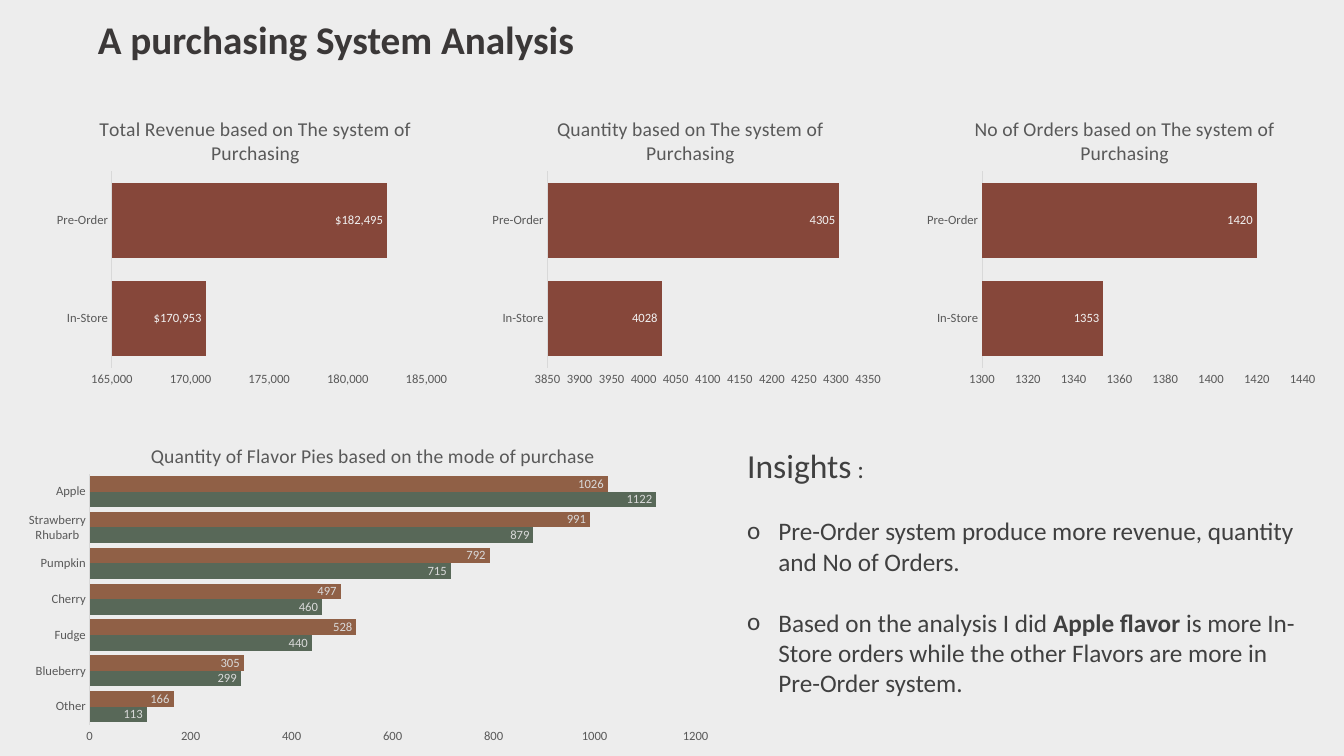
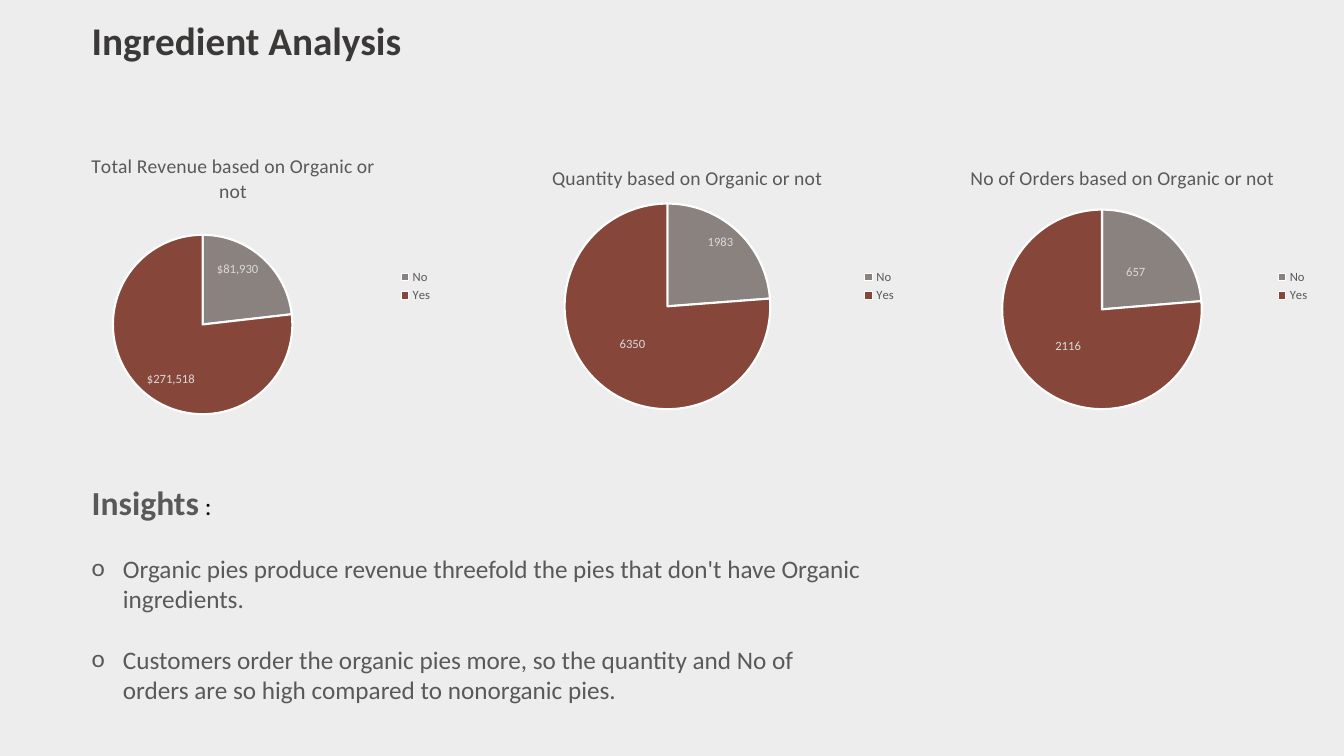
import pptx
import pptx.chart.data
import pptx.dml.color
import pptx.enum.chart
import pptx.enum.text
import pptx.util
import pptx.oxml
from pptx.oxml.ns import nsdecls, qn

Inches, Pt = pptx.util.Inches, pptx.util.Pt
Kind = pptx.enum.chart.XL_CHART_TYPE
Spot = pptx.enum.chart.XL_LABEL_POSITION

FONT = "Calibri"
PAPER, INK, GREY, BODY, BLACK = "EDEDED", "3B3838", "595959", "404040", "000000"
RUST, STONE, GREEN, BROWN = "86473A", "8A827E", "586858", "906046"
AXIS, PALE, PALER, WHITE = "D9D9D9", "D9D9D9", "F2F2F2", "FFFFFF"
MONEY, PLAIN = '"$"#,##0', "General"

# Boxes are left, top, width, height on the slide; spots are left, top.
SYSTEMS = ["In-Store", "Pre-Order"]
BAR_LEFT, BAR_STEP = 0.49, 4.315
BAR_BOX = (0.95, 4.02, 2.94)
SYSTEM_BARS = [
    # title, values, label format, axis format, axis (min, max, step), plot left, plot width
    ("Total Revenue based on The system of Purchasing", [170953, 182495],
     MONEY, "#,##0", (165000, 185000, 5000), 1.11, 3.12),
    ("Quantity based on The system of Purchasing", [4028, 4305],
     PLAIN, PLAIN, (3850, 4350, 50), 5.43, 3.18),
    ("No of Orders based on The system of Purchasing", [1353, 1420],
     PLAIN, PLAIN, (1300, 1440, 20), 9.74, 3.18),
]
SYSTEM_TITLE_LEFTS = [0.95, 5.49, 9.63]

FLAVORS = ["Other", "Blueberry", "Fudge", "Cherry", "Pumpkin", "Strawberry Rhubarb", "Apple"]
FLAVOR_SALES = [
    ("In-Store", [113, 299, 440, 460, 715, 879, 1122], GREEN),
    ("Pre-Order", [166, 305, 528, 497, 792, 991, 1026], BROWN),
]

ORGANIC = ["No", "Yes"]
ORGANIC_PIES = [
    # title, values, format, chart left and width, title spot, pie centre and radius, label spots
    ("Total Revenue based on Organic or not", [81930, 271518], MONEY, (0.4, 3.99),
     (0.87, 1.48), (2.01, 3.22, 0.89), (Spot.INSIDE_END, Spot.INSIDE_END)),
    ("Quantity based on Organic or not", [1983, 6350], PLAIN, (4.56, 4.43),
     (5.44, 1.59), (6.62, 3.04, 1.02), (Spot.INSIDE_END, Spot.CENTER)),
    ("No of Orders based on Organic or not", [657, 2116], PLAIN, (9.16, 3.93),
     (9.59, 1.59), (10.93, 3.07, 0.99), (Spot.CENTER, Spot.CENTER)),
]

PURCHASING = {
    "title": "A purchasing System Analysis",
    "title_box": (0.87, 0.1, 5.43, 0.57),
    "insights_box": (7.31, 4.36, 5.82, 2.93),
    "color": BODY,
    "heading": [("Insights", {"size": Pt(24)}), (" :", {})],
    "insights": [
        [("Pre-Order system produce more revenue, quantity and No of Orders.", {})],
        [("Based on the analysis I did ", {}), ("Apple flavor ", {"bold": True}),
         ("is more In-Store orders while the other Flavors are more in Pre-Order system.", {})],
    ],
}
INGREDIENT = {
    "title": "Ingredient Analysis",
    "title_box": (0.81, 0.11, 5.43, 0.57),
    "insights_box": (0.81, 4.73, 7.83, 2.63),
    "color": GREY,
    "heading": [("Insights", {"size": Pt(24), "bold": True}), (" :", {"color": BLACK})],
    "insights": [
        [("Organic pies produce revenue threefold the pies that don't have Organic ingredients.", {})],
        [("Customers order the organic pies more, so the quantity and No of orders "
          "are so high compared to nonorganic pies.", {})],
    ],
}


def rgb(code):
    """Turn a hex string into a colour."""
    return pptx.dml.color.RGBColor.from_string(code)


def assign(target, **values):
    """Set each given attribute on the target."""
    for key, value in values.items():
        setattr(target, key, value)


def style_font(font, size, color, **extra):
    """Give a font the deck's typeface, a size, a colour and any extras."""
    assign(font, **{"name": FONT, "size": size, "bold": False, **extra})
    font.color.rgb = rgb(color)


def paint(part, color):
    """Fill a chart part with one colour."""
    part.format.fill.solid()
    part.format.fill.fore_color.rgb = rgb(color)


def place(shape, box):
    """Move a placeholder to a box in inches."""
    assign(shape, **dict(zip(("left", "top", "width", "height"), map(Inches, box))))


def write_runs(paragraph, runs, color, size=Pt(18)):
    """Add runs whose format differs from the paragraph only where stated."""
    for text, changes in runs:
        run = paragraph.add_run()
        run.text = text
        style_font(run.font, **{"size": size, "color": color, **changes})


def set_bullet(paragraph, mark=None):
    """Set a hanging bullet, or none at all."""
    props = paragraph._p.get_or_add_pPr()
    indent = Inches(0.31) if mark else 0
    props.set("marL", str(int(indent)))
    props.set("indent", str(int(-indent)))
    if mark:
        props.append(pptx.oxml.parse_xml(f'<a:buFont {nsdecls("a")} typeface="{FONT}"/>'))
        props.append(pptx.oxml.parse_xml(f'<a:buChar {nsdecls("a")} char="{mark}"/>'))
    else:
        props.append(pptx.oxml.parse_xml(f'<a:buNone {nsdecls("a")}/>'))


def add_page(deck, content):
    """Add a slide with its title and list of insights."""
    slide = deck.slides.add_slide(deck.slide_layouts[1])
    title, body = slide.placeholders[0], slide.placeholders[1]
    place(title, content["title_box"])
    place(body, content["insights_box"])
    anchors = pptx.enum.text.MSO_ANCHOR
    for shape, anchor in ((title, anchors.MIDDLE), (body, anchors.TOP)):
        assign(shape.text_frame, word_wrap=True, vertical_anchor=anchor,
               auto_size=pptx.enum.text.MSO_AUTO_SIZE.NONE)
    heading = title.text_frame.paragraphs[0]
    heading.alignment = pptx.enum.text.PP_ALIGN.LEFT
    write_runs(heading, [(content["title"], {"bold": True})], INK, Pt(28))

    lines = [content["heading"]] + content["insights"]
    for index, runs in enumerate(lines):
        paragraph = body.text_frame.paragraphs[0] if index == 0 else body.text_frame.add_paragraph()
        assign(paragraph, space_before=Pt(22 if index else 0), space_after=Pt(0))
        set_bullet(paragraph, "o" if index else None)
        write_runs(paragraph, runs, content["color"])
    return slide


def set_layout(parent, chart_box, box):
    """Fix a title (left, top) or a plot (full box) inside its chart."""
    left, top, width, height = chart_box
    shares = [("x", (box[0] - left) / width), ("y", (box[1] - top) / height)]
    target = ""
    if len(box) == 4:
        target = '<c:layoutTarget val="inner"/>'
        shares += [("w", box[2] / width), ("h", box[3] / height)]
    modes = "".join(f'<c:{axis}Mode val="edge"/>' for axis in "xy")
    sizes = "".join(f'<c:{key} val="{share:.4f}"/>' for key, share in shares)
    layout = pptx.oxml.parse_xml(
        f'<c:layout {nsdecls("c")}><c:manualLayout>{target}{modes}{sizes}</c:manualLayout></c:layout>')
    previous = parent.find(qn("c:layout"))
    if previous is not None:
        parent.remove(previous)
    parent.insert(1 if parent.find(qn("c:tx")) is not None else 0, layout)


def add_titled_chart(slide, kind, box, title, title_spot, plot_box, categories, series, fmt=PLAIN):
    """Add a chart with its title and plot fixed in place."""
    data = pptx.chart.data.CategoryChartData(number_format=fmt)
    data.categories = categories
    for name, values in series:
        data.add_series(name, values)
    chart = slide.shapes.add_chart(kind, *map(Inches, box), data).chart
    style_font(chart.font, Pt(10), BLACK)
    chart.has_legend = False
    chart.has_title = True
    write_runs(chart.chart_title.text_frame.paragraphs[0], [(title, {})], GREY, Pt(14))
    set_layout(chart.element.find(".//" + qn("c:title")), box, title_spot)
    set_layout(chart.element.find(".//" + qn("c:plotArea")), box, plot_box)
    return chart


def style_bars(chart, colors, label_color, label_format, axis_format, scale):
    """Format the bars, their labels and both axes."""
    plot = chart.plots[0]
    assign(plot, gap_width=30, overlap=0, vary_by_categories=False)
    for series, color in zip(plot.series, colors):
        paint(series, color)
        labels = series.data_labels
        assign(labels, show_value=True, position=Spot.INSIDE_END,
               number_format=label_format, number_format_is_linked=False)
        style_font(labels.font, Pt(9), label_color)
    low, high, step = scale
    assign(chart.value_axis, minimum_scale=low, maximum_scale=high, major_unit=step)
    assign(chart.value_axis.tick_labels, number_format=axis_format, number_format_is_linked=False)
    no_tick = pptx.enum.chart.XL_TICK_MARK.NONE
    for axis in (chart.category_axis, chart.value_axis):
        assign(axis, has_major_gridlines=False, major_tick_mark=no_tick, minor_tick_mark=no_tick)
        style_font(axis.tick_labels.font, Pt(9), GREY)
    chart.value_axis.format.line.fill.background()
    chart.category_axis.format.line.color.rgb = rgb(AXIS)
    chart.category_axis.format.line.width = Pt(0.75)


def style_pie(chart, label_spots, fmt):
    """Format the slices, their labels and the legend."""
    chart.has_legend = True
    assign(chart.legend, position=pptx.enum.chart.XL_LEGEND_POSITION.RIGHT, include_in_layout=False)
    style_font(chart.legend.font, Pt(9), GREY)
    series = chart.plots[0].series[0]
    assign(series.data_labels, show_value=True, show_percentage=False,
           number_format=fmt, number_format_is_linked=False)
    style_font(series.data_labels.font, Pt(9), PALE)
    for index, (color, spot) in enumerate(zip((STONE, RUST), label_spots)):
        point = series.points[index]
        paint(point, color)
        point.format.line.color.rgb = rgb(WHITE)
        point.format.line.width = Pt(1.5)
        style_font(point.data_label.font, Pt(9), PALE)
        point.data_label.position = spot


def build_purchasing(deck):
    """Build the purchasing slide: three system charts and one of flavors."""
    slide = add_page(deck, PURCHASING)
    for index, (title, values, fmt, axis_fmt, scale, left, width) in enumerate(SYSTEM_BARS):
        box = (BAR_LEFT + index * BAR_STEP, *BAR_BOX)
        chart = add_titled_chart(
            slide, Kind.BAR_CLUSTERED, box, title, (SYSTEM_TITLE_LEFTS[index], 1.11),
            (left, 1.7, width, 1.95), SYSTEMS, [("Series 1", values)], fmt)
        style_bars(chart, [RUST], PALER, fmt, axis_fmt, scale)
    chart = add_titled_chart(
        slide, Kind.BAR_CLUSTERED, (0.15, 4.17, 7.02, 3.33),
        "Quantity of Flavor Pies based on the mode of purchase", (1.46, 4.35),
        (0.89, 4.7, 6.01, 2.49), FLAVORS, [sale[:2] for sale in FLAVOR_SALES])
    style_bars(chart, [sale[2] for sale in FLAVOR_SALES], PALE, PLAIN, PLAIN, (0, 1200, 200))


def build_ingredient(deck):
    """Build the ingredient slide: three pies of organic against not."""
    slide = add_page(deck, INGREDIENT)
    for title, values, fmt, (left, width), title_spot, (x, y, radius), spots in ORGANIC_PIES:
        chart = add_titled_chart(
            slide, Kind.PIE, (left, 1.42, width, 2.84), title, title_spot,
            (x - radius, y - radius, 2 * radius, 2 * radius),
            ORGANIC, [("Series 1", values)], fmt)
        style_pie(chart, spots, fmt)


def main():
    """Build and save the deck."""
    deck = pptx.Presentation()
    assign(deck, slide_width=Inches(13.33), slide_height=Inches(7.5))
    backdrop = deck.slide_master.background.fill
    backdrop.solid()
    backdrop.fore_color.rgb = rgb(PAPER)
    build_purchasing(deck)
    build_ingredient(deck)
    deck.save("out.pptx")


main()
